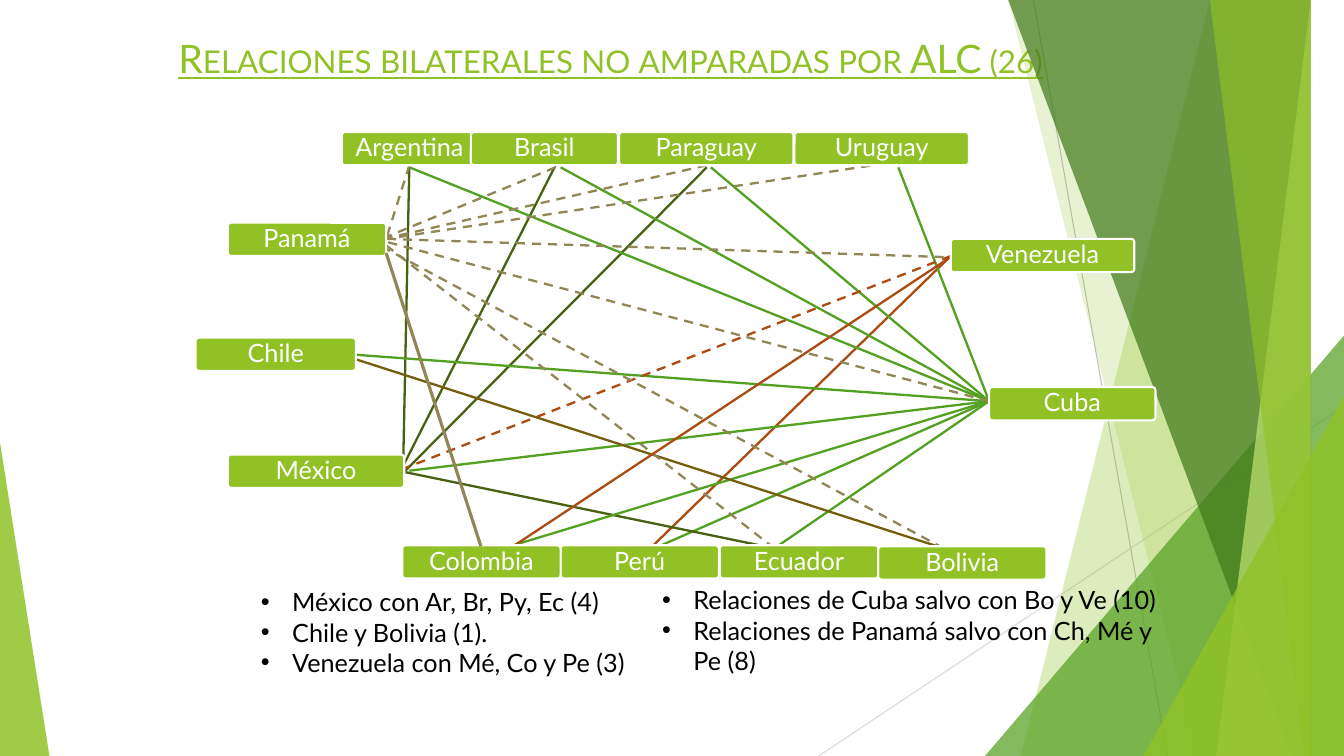
"""Build a slide mapping the bilateral relations not covered by a trade agreement."""
import pptx
import pptx.util
import pptx.dml.color
import pptx.enum.dml
import pptx.enum.shapes
import pptx.enum.text
import pptx.oxml.ns
import lxml.etree

Inches = pptx.util.Inches
Pt = pptx.util.Pt
RGBColor = pptx.dml.color.RGBColor
PRESET = pptx.enum.shapes.MSO_SHAPE
ANCHOR = pptx.enum.text.MSO_ANCHOR
ALIGN = pptx.enum.text.PP_ALIGN
qn = pptx.oxml.ns.qn

FONT = "Lato"
WIDTH, HEIGHT = 13.33, 7.5
COLORS = {
    "lime": "90C226", "pale": "C0E474", "forest": "3F7819",
    "white": "FFFFFF", "black": "000000", "gray": "BFBFBF", "silver": "D9D9D9",
    "cuba": "54A021", "mexico": "486113", "venezuela": "AD4C12",
    "panama": "918655", "chile": "755E0D",
}


def add_line(start, end, color, width=1.63, dashed=False):
    """Draw a straight line without shadow."""
    line = slide.shapes.add_connector(
        pptx.enum.shapes.MSO_CONNECTOR.STRAIGHT, *map(Inches, start + end))
    line.line.color.rgb = RGBColor.from_string(COLORS[color])
    line.line.width = Pt(width)
    if dashed:
        line.line.dash_style = pptx.enum.dml.MSO_LINE.DASH
    lxml.etree.SubElement(line._element.spPr, qn("a:effectLst"))


def paint(shape, color, opacity=100):
    """Give a shape a flat fill, no outline and no shadow."""
    shape.shadow.inherit = False
    shape.line.fill.background()
    shape.fill.solid()
    shape.fill.fore_color.rgb = RGBColor.from_string(COLORS[color])
    if opacity < 100:
        fill_color = shape._element.spPr.find(qn("a:solidFill"))[0]
        lxml.etree.SubElement(fill_color, qn("a:alpha"), val=str(opacity * 1000))


presentation = pptx.Presentation()
presentation.slide_width = Inches(WIDTH)
presentation.slide_height = Inches(HEIGHT)
slide = presentation.slides.add_slide(presentation.slide_layouts[5])

add_line((10.25, 0), (11.58, HEIGHT), "gray", 0.75)
add_line((WIDTH, 4.03), (8.12, HEIGHT), "silver", 0.75)

# Each facet is a top and bottom x for a band; each triangle is left, top, width, tip.
facets = [
    ("band", (12.28, 10.04), "lime", 30),
    ("band", (10.5, 11.83), "lime", 20),
    ("triangle", (9.77, 3.33, 3.56, 1), "cuba", 72),
    ("band", (10.21, 12.91), "forest", 70),
    ("band", (13.03, 11.92), "pale", 70),
    ("band", (11.96, 13.18), "lime", 65),
    ("triangle", (11.34, 3.93, 1.99, 1), "lime", 80),
    ("triangle", (0, 4.39, 0.49, 0), "lime", 85),
]
for kind, geometry, color, opacity in facets:
    if kind == "band":
        top_x, bottom_x = geometry
        builder = slide.shapes.build_freeform(top_x, 0, scale=Inches(1))
        builder.add_line_segments([(WIDTH, 0), (WIDTH, HEIGHT), (bottom_x, HEIGHT)])
        facet = builder.convert_to_shape()
    else:
        left, top, width, tip = geometry
        facet = slide.shapes.add_shape(
            PRESET.ISOSCELES_TRIANGLE, Inches(left), Inches(top),
            Inches(width), Inches(HEIGHT - top))
        facet.adjustments[0] = tip
    paint(facet, color, opacity)

cuba = (9.81, 3.98)
venezuela = (9.43, 2.54)
mexico = (3.95, 4.67)
panama = (3.76, 2.38)
panama_edge = (3.83, 2.37)
ecuador = (7.68, 5.44)
bolivia = (9.36, 5.44)

add_line((6.47, 5.42), venezuela, "venezuela")
for end in [(4.06, 4.67), (6.49, 5.44)]:
    add_line(cuba, end, "cuba")
for start, end in [((3.99, 4.7), (7.01, 1.66)), ((3.99, 4.64), (5.51, 1.64)),
                   ((4, 4.55), (4.06, 1.64)), (mexico, ecuador)]:
    add_line(start, end, "mexico")
for end in [(7.05, 1.66), (8.91, 1.66), (5.56, 1.66), (4.06, 1.66),
            (3.53, 3.52), (5.09, 5.41), ecuador]:
    add_line(cuba, end, "cuba")
add_line((3.39, 3.52), bolivia, "chile")
add_line(venezuela, mexico, "venezuela", dashed=True)
for start, end in [((5.51, 1.66), panama), ((4.06, 1.64), panama_edge),
                   ((7.01, 1.64), panama), ((8.79, 1.62), panama_edge),
                   (cuba, panama), (bolivia, (3.83, 2.47)),
                   (ecuador, panama), ((9.36, 2.55), panama_edge)]:
    add_line(start, end, "panama", dashed=True)
add_line((5.09, 5.42), (9.55, 2.47), "venezuela")

countries = [
    ("Perú", 5.56, 5.41, 1.57), ("Panamá", 2.26, 2.21, 1.57),
    ("Cuba", 9.81, 3.84, 1.65), ("Chile", 1.94, 3.35, 1.59),
    ("Bolivia", 8.71, 5.42, 1.67), ("Argentina", 3.39, 1.31, 1.34),
    ("Brasil", 4.67, 1.31, 1.46), ("Paraguay", 6.14, 1.31, 1.73),
    ("Uruguay", 7.88, 1.31, 1.73), ("México", 2.26, 4.51, 1.75),
    ("Venezuela", 9.43, 2.37, 1.82), ("Ecuador", 7.14, 5.41, 1.57),
    ("Colombia", 3.99, 5.41, 1.57),
]
for name, left, top, width in countries:
    box = slide.shapes.add_shape(
        PRESET.ROUNDED_RECTANGLE, Inches(left), Inches(top), Inches(width), Inches(0.33))
    box.adjustments[0] = 0.1
    paint(box, "lime")
    box.line.color.rgb = RGBColor.from_string(COLORS["white"])
    box.line.width = Pt(1.5)
    frame = box.text_frame
    frame.margin_left = frame.margin_right = Inches(0.09)
    frame.margin_top = frame.margin_bottom = Inches(0.09)
    frame.vertical_anchor = ANCHOR.MIDDLE
    frame.text = name
    paragraph = frame.paragraphs[0]
    paragraph.alignment = ALIGN.CENTER
    paragraph.line_spacing = 0.9
    paragraph.font.size = Pt(18)
    paragraph.font.name = FONT
    paragraph.font.color.rgb = RGBColor.from_string(COLORS["white"])

add_line((3.83, 2.51), (4.77, 5.42), "panama", 2.25)

summaries = [
    ((2.49, 5.77, 4.56, 1.62),
     ["México con Ar, Br, Py, Ec (4)", "Chile y Bolivia (1).",
      "Venezuela con Mé, Co y Pe (3)"]),
    ((6.47, 5.75, 5.16, 1.62),
     ["Relaciones de Cuba salvo con Bo y Ve (10)",
      "Relaciones de Panamá salvo con Ch, Mé y Pe (8)"]),
]
for position, items in summaries:
    summary = slide.shapes.add_textbox(*map(Inches, position))
    summary.text_frame.word_wrap = True
    summary.text_frame.text = "\n".join(items)
    for paragraph in summary.text_frame.paragraphs:
        paragraph.font.size = Pt(18)
        paragraph.font.name = FONT
        paragraph.font.color.rgb = RGBColor.from_string(COLORS["black"])
        properties = paragraph._p.get_or_add_pPr()
        properties.set("marL", str(Inches(0.31)))
        properties.set("indent", str(-Inches(0.31)))
        bullet_font = lxml.etree.Element(qn("a:buFont"), typeface="Arial")
        bullet = lxml.etree.Element(qn("a:buChar"), char="•")
        properties.insert(0, bullet_font)
        properties.insert(1, bullet)

title = slide.shapes.title
title.left, title.top, title.width, title.height = map(Inches, (1.67, 0.29, 10, 0.87))
title.text_frame.text = "Relaciones bilaterales no amparadas por ALC (26)"
title.text_frame.vertical_anchor = ANCHOR.TOP
title.text_frame.auto_size = pptx.enum.text.MSO_AUTO_SIZE.NONE
title_paragraph = title.text_frame.paragraphs[0]
title_paragraph.alignment = ALIGN.LEFT
title_run = title_paragraph.runs[0]
title_run.font.size = Pt(28)
title_run.font.name = FONT
title_run.font.underline = True
title_run.font.color.rgb = RGBColor.from_string(COLORS["lime"])
title_run._r.get_or_add_rPr().set("cap", "small")

presentation.save("out.pptx")
